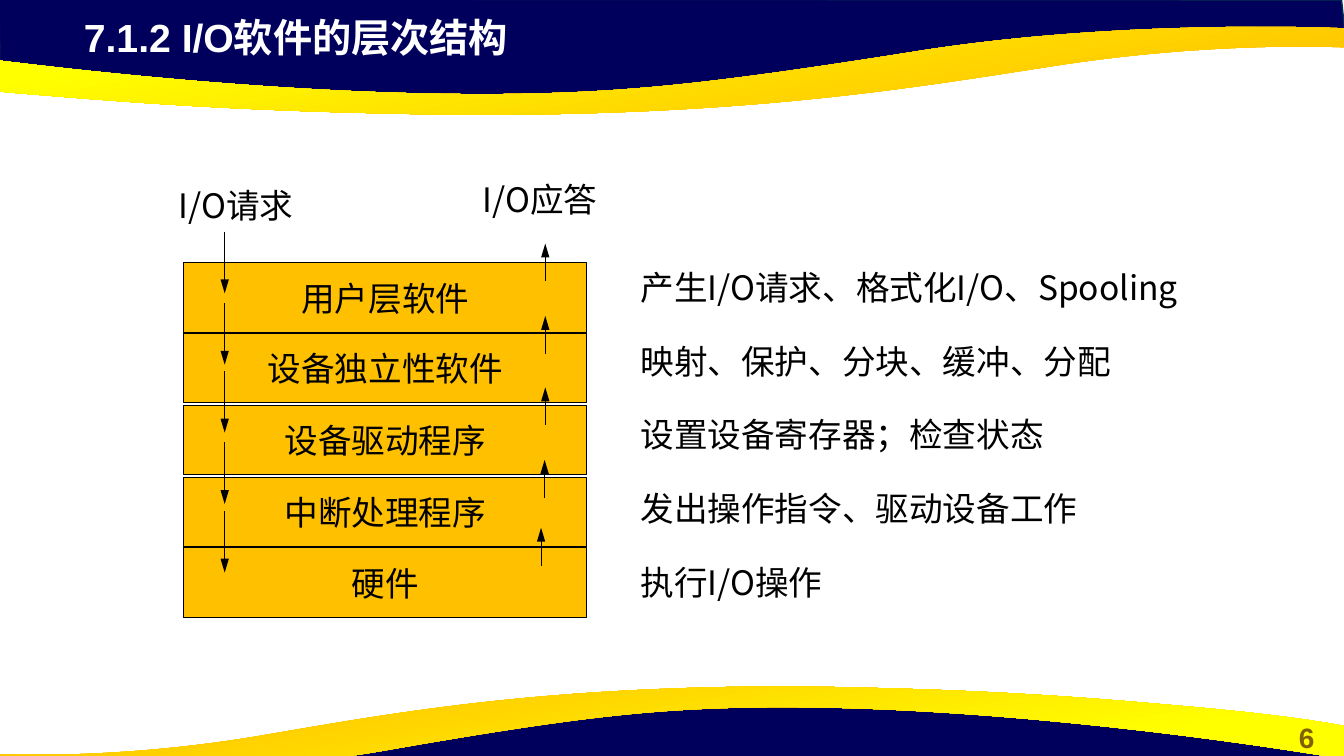
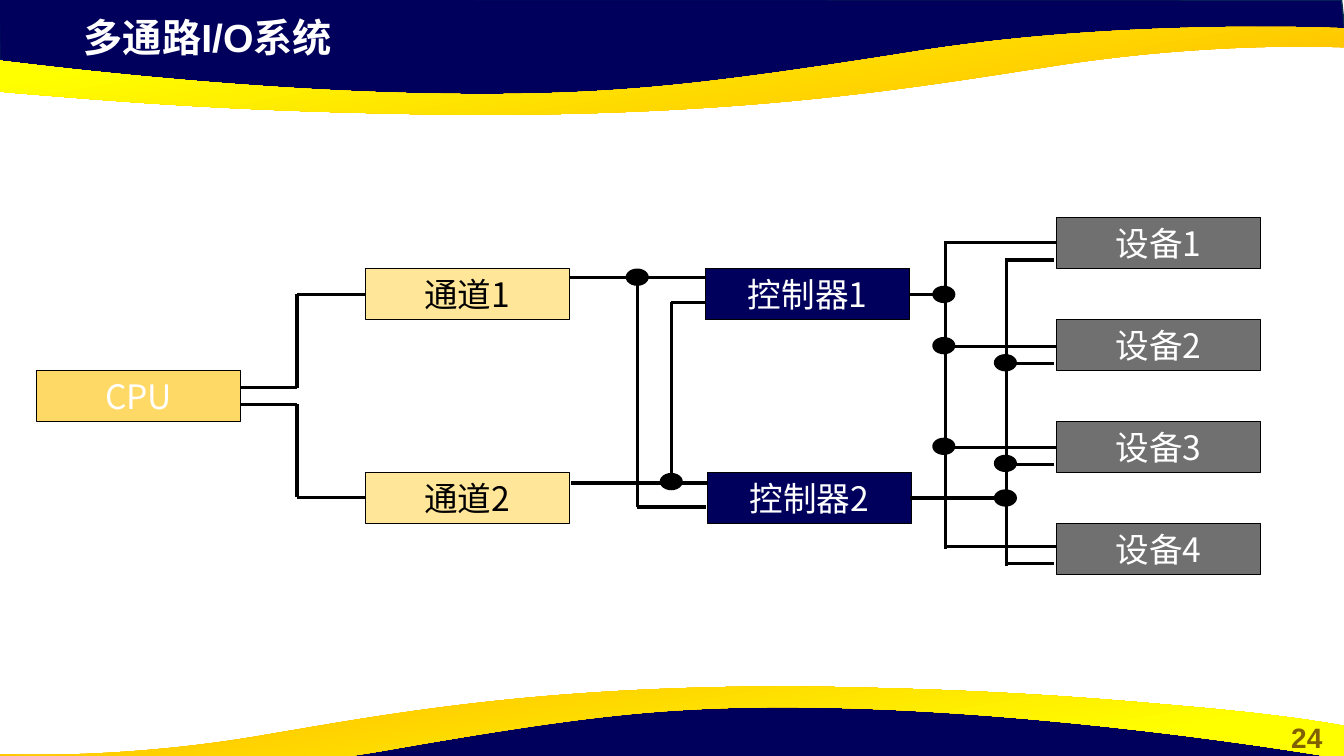
from itertools import pairwise

from lxml import etree
from pptx import Presentation
from pptx.dml.color import RGBColor
from pptx.enum import shapes, text
from pptx.oxml.ns import qn
from pptx.util import Pt


class Theme:
    navy, navy_edge = "00005C", "05304F"
    orange, yellow = "FFC000", "FFFF00"
    gold, cream, gray = "FFD966", "FFE699", "707070"
    black, white, number = "000000", "FFFFFF", "806000"
    heading_font, body_font = "Arial", "Noto Sans CJK SC"
    title_size, body_size, number_size = 28, 24, 20
    thin, thick = 0.75, 2.25


SLIDE_SIZE = (960, 540)
TITLE_BOX = (52.7, 6, 553, 41)
NUMBER_BOX = (907.2, 510.8, 52.5, 31.5)

# Header bands; the footer bands are these turned half round.
NAVY_BAND = [(-0.7, -0.7), (0, 50.4), (211, 73.4), (402.5, 72), (572.4, 63.4),
             (731.5, 36), (891.4, 23.8), (961.2, 27.4), (958.3, 0)]
GOLD_BAND = [  # control, control, end; a lone point is a straight edge
    [(347.8, 82.1)],
    [(319, 82.1), (288.7, 81.4), (256.3, 80.6)],
    [(148.3, 77.8), (79.2, 72), (25.9, 67.7)],
    [(-63.4, 60.5), (-93.6, 54), (-95.8, 54)],
    [(-95.8, 30.2)],
    [(-95.8, 30.2), (157, 70.6), (372.2, 67)],
    [(450.7, 65.5), (509.8, 59.8), (658.8, 36)],
    [(807.1, 13), (959.8, 20.2), (959.8, 20.2)],
    [(959.8, 33.8)],
    [(957.6, 33.8)],
    [(939.6, 33.1), (860.4, 31), (759.6, 46.1)],
    [(661, 61.2), (548.6, 81.4), (347.8, 82.1)],
]

LAYERS = [  # layer, top, duty
    ("用户层软件", 187.7, "产生I/O请求、格式化I/O、Spooling"),
    ("设备独立性软件", 238, "映射、保护、分块、缓冲、分配"),
    ("设备驱动程序", 289.4, "设置设备寄存器；检查状态"),
    ("中断处理程序", 341, "发出操作指令、驱动设备工作"),
    ("硬件", 391.4, "执行I/O操作"),
]
FLOW_LABELS = [("I/O请求", 120.5, 128.7), ("I/O应答", 337.8, 124.5)]
REQUEST_X, REQUEST_LENGTH = 160.5, 44
REQUEST_STARTS = [165.5, 216.5, 265, 316, 365]
REPLY_LENGTH = 27
REPLY_STARTS = [(389.5, 201), (389.5, 252.7), (389.5, 303.7), (389, 355.5), (386.5, 404)]

NODE_SIZE = (146, 36.4)
NODE_TOP = 155.3
NODES = [  # label, left, row in node heights, fill, text colour
    ("CPU", 26, 3, Theme.gold, Theme.white),
    ("通道1", 260.8, 1, Theme.cream, Theme.black),
    ("通道2", 260.8, 5, Theme.cream, Theme.black),
    ("控制器1", 503.8, 1, Theme.navy, Theme.white),
    ("控制器2", 505.2, 5, Theme.navy, Theme.white),
] + [(f"设备{i + 1}", 754.5, 2 * i, Theme.gray, Theme.white) for i in range(4)]

WIRES = [
    [(171.7, 277), (212.2, 277), (212.2, 210.3), (260.8, 210.3)],
    [(171.7, 288.8), (212.2, 288.8), (212.2, 355.3), (260.8, 355.3)],
    [(407, 198), (504, 198)],
    [(455.2, 198), (455.2, 362.2), (504, 362.2)],
    [(408, 345), (505.5, 345)],
    [(479.5, 344.5), (479.5, 216), (504, 216)],
]
JUNCTIONS = [(455.2, 198), (479.5, 344)]
DOT_SIZE = (16.5, 12.4)
BUS_TAPS = [173.5, 247.6, 319.5, 390.3]
BUSES = [  # bus x, feed start x, feed y, tap offset, tap end x
    (675.2, 649.5, 210.3, 0, 754.5),
    (719.2, 650, 355.7, 12.2, 753),
]


def color(value):
    return RGBColor.from_string(value)


def points(values):
    return [Pt(value) for value in values]


def set_text(shape, words, size, ink, name=Theme.body_font, bold=False,
             align=text.PP_ALIGN.LEFT):
    frame = shape.text_frame
    frame.word_wrap = True
    para = frame.paragraphs[0]
    para.text = words
    para.alignment = align
    font = para.font
    font.size, font.bold, font.name = Pt(size), bold, name
    font.color.rgb = color(ink)
    for props in shape.element.iter(qn("a:defRPr")):
        etree.SubElement(props, qn("a:ea"), typeface=Theme.body_font)


def add_label(slide, words, box, size=Theme.body_size, ink=Theme.black, **style):
    set_text(slide.shapes.add_textbox(*points(box)), words, size, ink, **style)


def add_node(slide, words, box, fill, ink=Theme.black):
    node = slide.shapes.add_shape(shapes.MSO_SHAPE.RECTANGLE, *points(box))
    node.shadow.inherit = False
    node.fill.solid()
    node.fill.fore_color.rgb = color(fill)
    node.line.color.rgb = color(Theme.black)
    node.line.width = Pt(Theme.thin)
    node.text_frame.vertical_anchor = text.MSO_ANCHOR.MIDDLE
    set_text(node, words, Theme.body_size, ink, align=text.PP_ALIGN.CENTER)


def add_line(slide, start, end, width, arrow=False):
    line = slide.shapes.add_connector(shapes.MSO_CONNECTOR.STRAIGHT,
                                      *points(start + end))
    line.line.color.rgb = color(Theme.black)
    line.line.width = Pt(width)
    props = line.element.spPr
    if arrow:
        etree.SubElement(props.find(qn("a:ln")), qn("a:tailEnd"),
                         type="triangle", w="med", len="lg")
    etree.SubElement(props, qn("a:effectLst"))


def add_wire(slide, corners):
    for start, end in pairwise(corners):
        add_line(slide, start, end, Theme.thick)


def add_dot(slide, x, y):
    width, height = DOT_SIZE
    dot = slide.shapes.add_shape(
        shapes.MSO_SHAPE.OVAL, *points((x - width / 2, y - height / 2, width, height)))
    dot.shadow.inherit = False
    dot.fill.solid()
    dot.fill.fore_color.rgb = color(Theme.black)
    dot.line.fill.background()


def add_band(slide, outline):
    first, *rest = [points(point) for point in outline]
    builder = slide.shapes.build_freeform(*first)
    builder.add_line_segments(rest, close=True)
    band = builder.convert_to_shape()
    band.shadow.inherit = False
    return band


def add_navy_band(slide, outline):
    band = add_band(slide, outline)
    band.fill.solid()
    band.fill.fore_color.rgb = color(Theme.navy)
    band.line.color.rgb = color(Theme.navy_edge)
    band.line.width = Pt(1)
    return band


def bend_edges(band, edges):
    """Turn straight edges that have control points into Bézier curves."""
    for edge, straight in zip(edges, list(band.element.iter(qn("a:lnTo")))):
        if len(edge) == 1:
            continue
        curve = etree.Element(qn("a:cubicBezTo"))
        for x, y in edge:
            etree.SubElement(curve, qn("a:pt"),
                             x=str(Pt(x) - band.left), y=str(Pt(y) - band.top))
        straight.getparent().replace(straight, curve)


def add_gold_band(slide, edges, angle):
    band = add_band(slide, [edge[-1] for edge in edges])
    bend_edges(band, edges[1:])
    band.fill.gradient()
    band.fill.gradient_angle = angle
    stops = [(0.11, Theme.orange), (0.78, Theme.yellow)]
    for stop, (position, value) in zip(band.fill.gradient_stops, stops):
        stop.position = position
        stop.color.rgb = color(value)
    band.line.fill.background()
    return band


def style_layout(layout, slide):
    """Draw the bands on the slide, then move them into its layout."""
    turned_gold = [[(959.8 - (x + 95.8) * 0.91, 572.4 - y) for x, y in edge]
                   for edge in GOLD_BAND]
    bands = [
        add_navy_band(slide, NAVY_BAND),
        add_gold_band(slide, GOLD_BAND, 100),
        add_navy_band(slide, [(959 - x, 571 - y) for x, y in NAVY_BAND]),
        add_gold_band(slide, turned_gold, 280),
    ]
    title, *unused = layout.placeholders
    for holder in unused:
        layout.shapes.element.remove(holder.element)
    for position, band in enumerate(bands, start=2):
        layout.shapes.element.insert(position, band.element)
    title.left, title.top, title.width, title.height = points(TITLE_BOX)
    title.text_frame.vertical_anchor = text.MSO_ANCHOR.TOP
    title.text_frame.auto_size = text.MSO_AUTO_SIZE.NONE


def add_slide(deck, layout, title, number):
    slide = deck.slides.add_slide(layout)
    set_text(slide.shapes.title, title, Theme.title_size, Theme.white,
             name=Theme.heading_font, bold=True)
    add_label(slide, number, NUMBER_BOX, Theme.number_size, Theme.number,
              name=Theme.heading_font, bold=True, align=text.PP_ALIGN.CENTER)
    return slide


def draw_layers(slide):
    for i, (layer, top, duty) in enumerate(LAYERS):
        add_node(slide, layer, (131.3, top, 288, 49.7), Theme.orange)
        add_label(slide, duty, (450.4, 187.1 + 52.6 * i, 470, 36))
    for words, left, top in FLOW_LABELS:
        add_label(slide, words, (left, top, 102.5, 36))
    for y in REQUEST_STARTS:
        add_line(slide, (REQUEST_X, y), (REQUEST_X, y + REQUEST_LENGTH), Theme.thin, True)
    for x, y in REPLY_STARTS:
        add_line(slide, (x, y), (x, y - REPLY_LENGTH), Theme.thin, True)


def draw_paths(slide):
    width, height = NODE_SIZE
    for words, left, row, fill, ink in NODES:
        add_node(slide, words, (left, NODE_TOP + row * height, width, height), fill, ink)
    wires, dots = list(WIRES), list(JUNCTIONS)
    for x, feed_x, feed_y, offset, end_x in BUSES:
        taps = [y + offset for y in BUS_TAPS]
        wires += [[(feed_x, feed_y), (x, feed_y)], [(x, taps[0]), (x, taps[-1] + 2)]]
        wires += [[(x - 1, y), (end_x, y)] for y in taps]
        dots += [(x - 1, y - 0.7) for y in taps[1:-1]] + [(x - 1, feed_y)]
    for corners in wires:
        add_wire(slide, corners)
    for x, y in dots:
        add_dot(slide, x, y)


def main():
    deck = Presentation()
    deck.slide_width, deck.slide_height = points(SLIDE_SIZE)
    layout = deck.slide_layouts.get_by_name("Title Only")
    layers = add_slide(deck, layout, "7.1.2 I/O软件的层次结构", "6")
    style_layout(layout, layers)
    draw_layers(layers)
    draw_paths(add_slide(deck, layout, "多通路I/O系统", "24"))
    deck.save("out.pptx")


if __name__ == "__main__":
    main()
